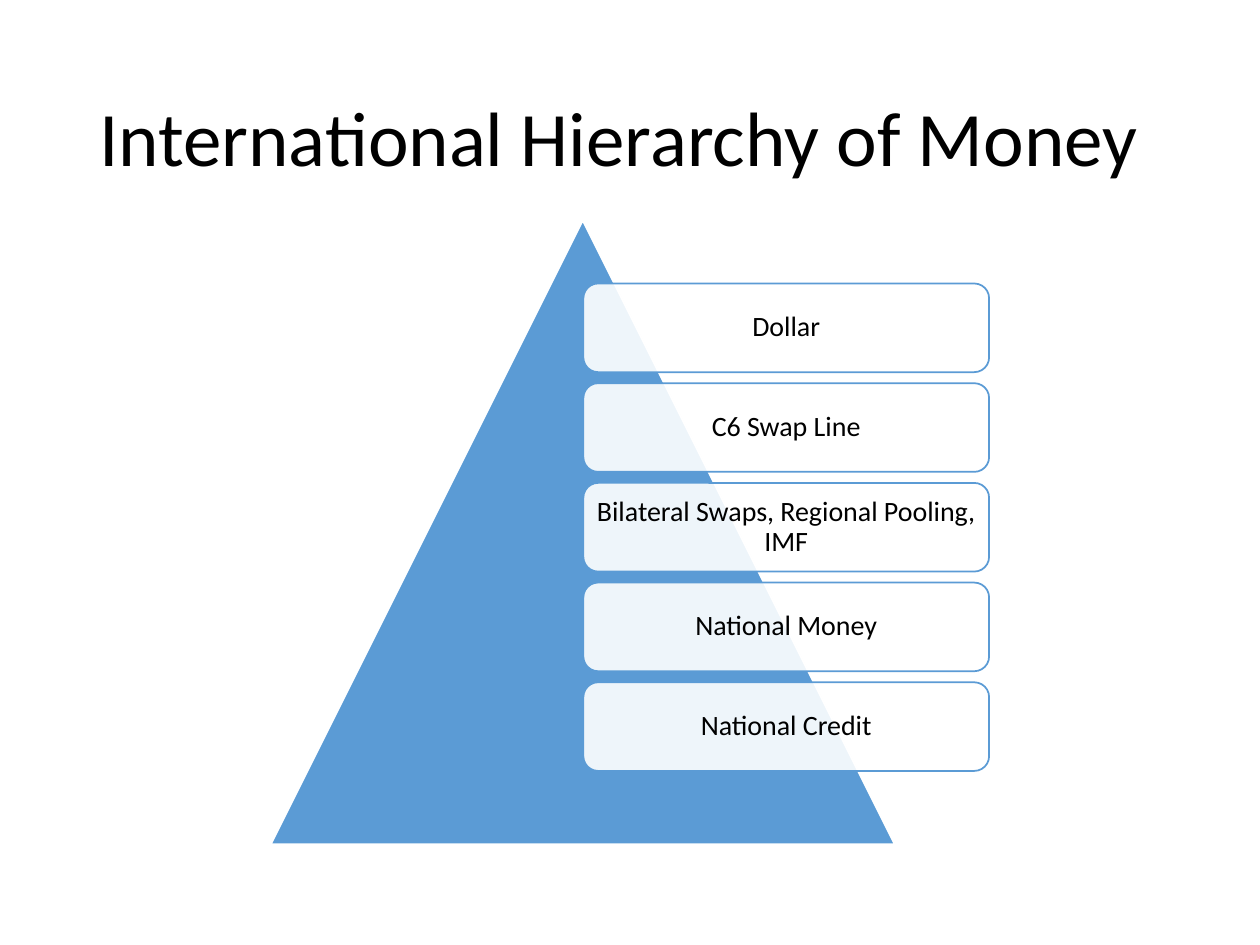
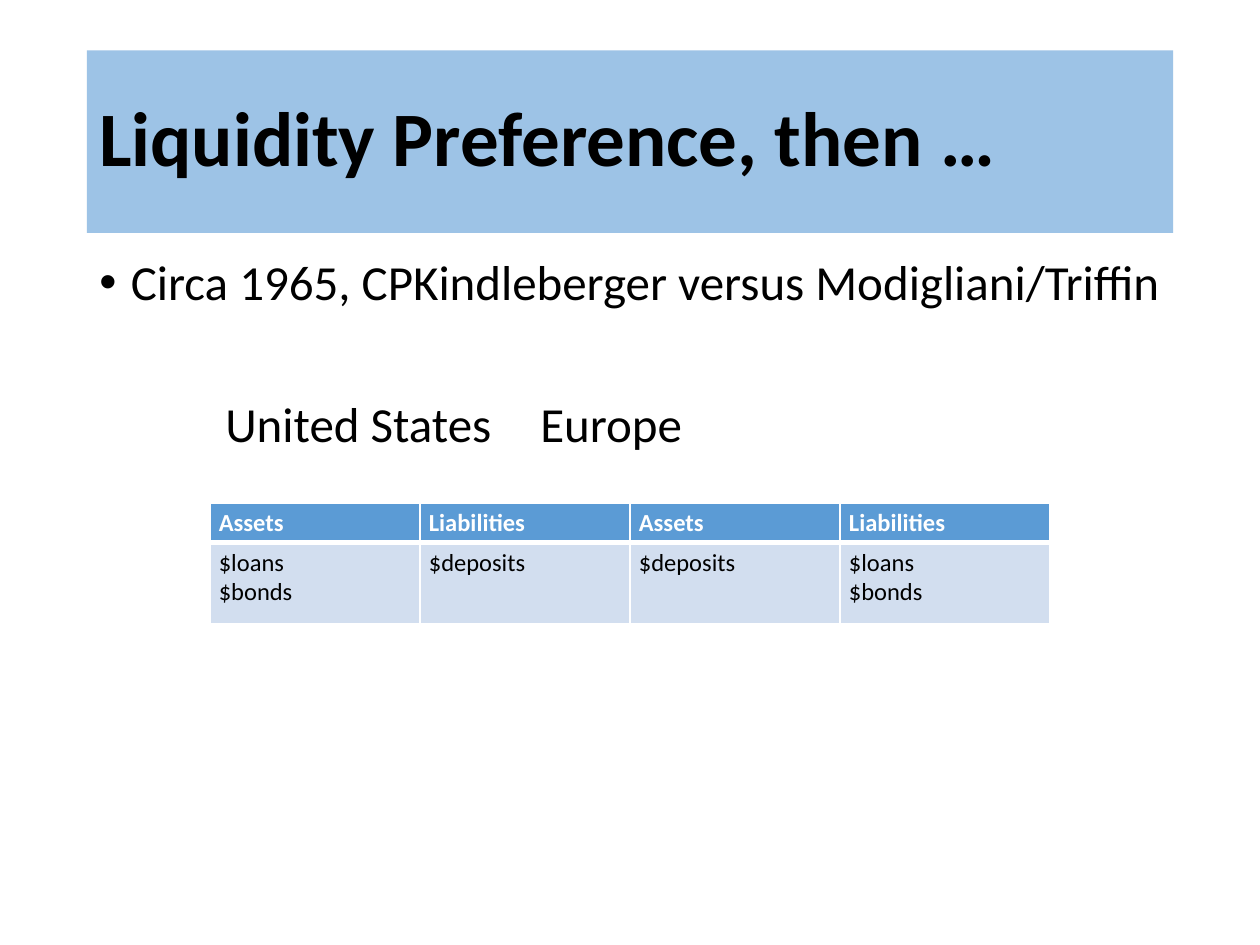
"""Build two slides on the hierarchy of money and liquidity preference."""
import dataclasses

import lxml.etree
import pptx
import pptx.dml.color
import pptx.enum.shapes
import pptx.enum.text
import pptx.oxml.ns
import pptx.util

Pt = pptx.util.Pt
Inches = pptx.util.Inches
SHAPE = pptx.enum.shapes.MSO_SHAPE
ALIGN = pptx.enum.text.PP_ALIGN
ANCHOR = pptx.enum.text.MSO_ANCHOR
WIDE, HIGH = Inches(10), Inches(7.5)


@dataclasses.dataclass(frozen=True)
class Theme:
    """Colours and type sizes shared by the slides."""
    font: str = "Calibri"
    ink: str = "000000"
    paper: str = "FFFFFF"
    blue: str = "5B9BD5"
    band: str = "9DC3E6"
    pale: str = "D2DEEF"
    title: int = 44
    body: int = 28
    label: int = 16
    cell: int = 14
    lead: float = 0.9


THEME = Theme()


def rgb(code):
    """Turn a hex code into a colour."""
    return pptx.dml.color.RGBColor.from_string(code)


def area(left, top, wide, high):
    """Turn percentages of the slide into a place and a size."""
    return [int(share * side / 100) for share, side
            in zip((left, top, wide, high), (WIDE, HIGH) * 2)]


def node(parent, tag, **attrs):
    """Add a drawing element to a parent."""
    return lxml.etree.SubElement(parent, pptx.oxml.ns.qn(tag), attrs)


def write(para, text, size, color=THEME.ink, bold=False):
    """Add one styled run to a paragraph."""
    run = para.add_run()
    run.text = text
    run.font.name = THEME.font
    run.font.size = Pt(size)
    run.font.bold = bold
    run.font.color.rgb = rgb(color)


def pad(item, side, ends):
    """Set the insets of a cell or text frame in inches."""
    item.margin_left = item.margin_right = Inches(side)
    item.margin_top = item.margin_bottom = Inches(ends)


def text_box(slide, place):
    """Add a wrapping text box."""
    box = slide.shapes.add_textbox(*area(*place))
    box.text_frame.word_wrap = True
    return box


def title(slide, text, fill=None, bold=False):
    """Add the slide title, on a band if a fill is given."""
    box = text_box(slide, (6.9, 5.33, 86.2, 19.33))
    if fill:
        box.fill.solid()
        box.fill.fore_color.rgb = rgb(fill)
    box.text_frame.vertical_anchor = ANCHOR.MIDDLE
    para = box.text_frame.paragraphs[0]
    para.line_spacing = THEME.lead
    write(para, text, THEME.title, bold=bold)


def solid(slide, kind, place, fill, line):
    """Add a flat preset shape with a thin outline."""
    shape = slide.shapes.add_shape(kind, *area(*place))
    shape.shadow.inherit = False
    shape.fill.solid()
    shape.fill.fore_color.rgb = rgb(fill)
    shape.line.color.rgb = rgb(line)
    shape.line.width = Pt(1)
    return shape


def level(slide, text, place):
    """Add one translucent level of the pyramid."""
    shape = solid(slide, SHAPE.ROUNDED_RECTANGLE, place, THEME.paper, THEME.blue)
    tint = shape.fill._xPr.find(".//" + pptx.oxml.ns.qn("a:srgbClr"))
    node(tint, "a:alpha", val="90000")
    frame = shape.text_frame
    frame.word_wrap = True
    frame.vertical_anchor = ANCHOR.MIDDLE
    pad(frame, 0.07, 0.07)
    para = frame.paragraphs[0]
    para.alignment = ALIGN.CENTER
    para.line_spacing = THEME.lead
    write(para, text, THEME.label)


def line(para, text, before):
    """Fill a body paragraph with text and space above."""
    para.line_spacing = THEME.lead
    para.space_before = Pt(before)
    write(para, text, THEME.body)


def bullet(para):
    """Give a paragraph a hanging bullet."""
    props = para._p.get_or_add_pPr()
    props.set("marL", str(Inches(0.25)))
    props.set("indent", str(-Inches(0.25)))
    node(props, "a:buFont", typeface="Arial")
    node(props, "a:buChar", char="•")


def edge(cell, base):
    """Draw white cell borders with the given bottom width."""
    props = cell._tc.get_or_add_tcPr()
    for spot, side in enumerate(("L", "R", "T", "B")):
        rule = node(props, "a:ln" + side, w=str(Pt(base if side == "B" else 1)))
        node(node(rule, "a:solidFill"), "a:srgbClr", val=THEME.paper)
        props.insert(spot, rule)


def sheet(slide, rows, place, highs):
    """Add a table with a heading row."""
    grid = slide.shapes.add_table(len(rows), len(rows[0]), *area(*place)).table
    for r, row in enumerate(rows):
        head = r == 0
        grid.rows[r].height = int(highs[r] * HIGH / 100)
        for c, lines in enumerate(row):
            cell = grid.cell(r, c)
            pad(cell, 0.07, 0.04)
            cell.fill.solid()
            cell.fill.fore_color.rgb = rgb(THEME.blue if head else THEME.pale)
            edge(cell, 3 if head else 1)
            frame = cell.text_frame
            for i, text in enumerate(lines):
                para = frame.add_paragraph() if i else frame.paragraphs[0]
                write(para, text, THEME.cell,
                      THEME.paper if head else THEME.ink, head)


def ranks(slide):
    """Build the pyramid of money."""
    title(slide, "International Hierarchy of Money")
    solid(slide, SHAPE.ISOSCELES_TRIANGLE, (21.5, 23.33, 49.5, 66),
          THEME.blue, THEME.paper)
    names = ("Dollar", "C6 Swap Line", "Bilateral Swaps, Regional Pooling, IMF",
             "National Money", "National Credit")
    for i, name in enumerate(names):
        level(slide, name, (46.3, 30 + i * 10.55, 32.2, 9.38))


def claims(slide):
    """Build the balance sheets of two regions."""
    title(slide, "Liquidity Preference, then …", THEME.band, True)
    frame = text_box(slide, (6.9, 26.67, 86.2, 63.47)).text_frame
    para = frame.paragraphs[0]
    line(para, "Circa 1965, CPKindleberger versus Modigliani/Triffin", 10)
    bullet(para)
    line(frame.add_paragraph(), "\t\tUnited States\tEurope", 51)
    debt, cash = ("$loans", "$bonds"), ("$deposits",)
    rows = ((("Assets",), ("Liabilities",)) * 2, (debt, cash, cash, debt))
    sheet(slide, rows, (16.67, 53.25, 66.68, 12.6), (4.05, 8.55))


def main():
    """Build and save the deck."""
    deck = pptx.Presentation()
    deck.slide_width, deck.slide_height = WIDE, HIGH
    for build in (ranks, claims):
        build(deck.slides.add_slide(deck.slide_layouts[6]))
    deck.save("out.pptx")


if __name__ == "__main__":
    main()
